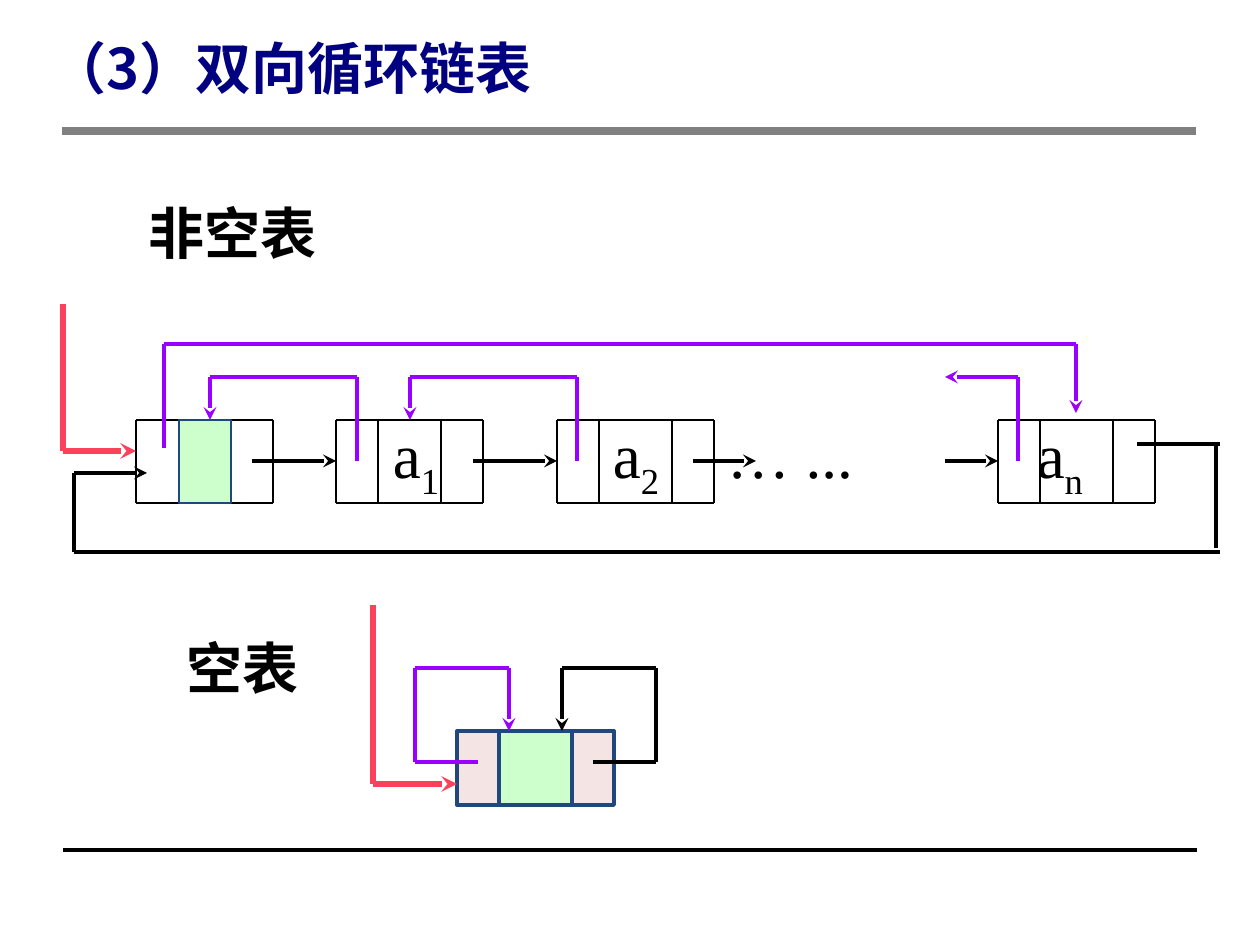
from pptx import Presentation
from pptx.dml.color import RGBColor
from pptx.enum.shapes import MSO_CONNECTOR, MSO_SHAPE
from pptx.enum.text import MSO_ANCHOR, MSO_AUTO_SIZE, PP_ALIGN
from pptx.oxml.ns import qn
from pptx.util import Pt
from lxml import etree

STRAIGHT, RECT = MSO_CONNECTOR.STRAIGHT, MSO_SHAPE.RECTANGLE
NO_FIT, GROW = MSO_AUTO_SIZE.NONE, MSO_AUTO_SIZE.SHAPE_TO_FIT_TEXT
LEFT, TOP, MIDDLE = PP_ALIGN.LEFT, MSO_ANCHOR.TOP, MSO_ANCHOR.MIDDLE
PX = 914400 // 126

SANS, SERIF = "Noto Sans CJK SC", "Times New Roman"
BLACK, GRAY, NAVY = "000000", "808080", "000080"
PURPLE, RED, BLUE = "9900FF", "FB415C", "1F497D"
GREEN, PINK = "CCFFCC", "F4E4E4"

TITLE = "（3）双向循环链表"
HEADINGS = [("非空表", 136, 192, 195), ("空表", 174, 627, 139)]
RULES = [(62, 131, 1196, GRAY, 5), (63, 850, 1197, BLACK, 2)]

NODE_TOP, NODE_BOTTOM = 420, 503
NODES = [
    (136, 179, 231, 273),
    (336, 378, 441, 483),
    (557, 599, 672, 714),
    (998, 1040, 1113, 1155),
]
ROW_BOX = (305, 388, 955, 149)
ROW_TEXT = [(393, "a", "1"), (613, "a", "2"), (727, "… ...", ""), (1037, "a", "n")]

EMPTY_CELLS = [(499, 73, GREEN), (572, 42, PINK), (457, 42, PINK)]
EMPTY_TOP, EMPTY_HEIGHT = 731, 74

NEXT_LINKS = [(252, 336), (473, 557), (693, 756), (945, 998)]
LINKS = [
    (BLACK, 2.5, False, [(1137, 444), (1220, 444)]),
    (BLACK, 2.5, False, [(1216, 442), (1216, 548)]),
    (BLACK, 2.5, True, [(1220, 552), (74, 552), (74, 473), (147, 473)]),
    (PURPLE, 2.5, True, [(164, 448), (164, 344), (1076, 344), (1076, 413)]),
    (PURPLE, 2.5, True, [(357, 461), (357, 377), (210, 377), (210, 420)]),
    (PURPLE, 2.5, True, [(577, 461), (577, 377), (410, 377), (410, 420)]),
    (PURPLE, 2.5, True, [(1018, 461), (1018, 377), (945, 377)]),
    (RED, 3, True, [(63, 304), (63, 451), (136, 451)]),
    (BLACK, 2.5, True, [(593, 762), (656, 762), (656, 668), (562, 668), (562, 731)]),
    (PURPLE, 2.5, True, [(478, 762), (415, 762), (415, 668), (509, 668), (509, 731)]),
    (RED, 3, True, [(373, 605), (373, 784), (457, 784)]),
]


def rgb(color):
    return RGBColor.from_string(color)


def emu(*lengths):
    return [length * PX for length in lengths]


def style(r, size, color, latin, bold=False):
    font = r.font
    font.size, font.name, font.bold = Pt(size), latin, bold
    font.color.rgb = rgb(color)
    ea = etree.SubElement(r._r.get_or_add_rPr(), qn("a:ea"))
    ea.set("typeface", SANS)


def line(start, end, color, width, arrow=False):
    s = slide.shapes.add_connector(STRAIGHT, *emu(*start, *end))
    s.line.color.rgb, s.line.width = rgb(color), Pt(width)
    if arrow:
        etree.SubElement(s.line._get_or_add_ln(), qn("a:tailEnd")).set("type", "stealth")
    etree.SubElement(s._element.spPr, qn("a:effectLst"))


def link(color, width, arrow, points):
    last = len(points) - 2
    for i, (start, end) in enumerate(zip(points, points[1:])):
        line(start, end, color, width, arrow and i == last)


def cell(x, y, w, h, fill, width):
    s = slide.shapes.add_shape(RECT, *emu(x, y, w, h))
    s.shadow.inherit = False
    s.fill.solid()
    s.fill.fore_color.rgb = rgb(fill)
    s.line.color.rgb, s.line.width = rgb(BLUE), Pt(width)


def heading(text, x, y, w):
    s = slide.shapes.add_textbox(*emu(x, y, w, 81))
    tf = s.text_frame
    tf.word_wrap, tf.auto_size = False, GROW
    tf.text = text
    style(tf.paragraphs[0].runs[0], 32, BLACK, SERIF, True)


def row_text():
    s = slide.shapes.add_textbox(*emu(*ROW_BOX))
    tf = s.text_frame
    tf.word_wrap, tf.auto_size = True, NO_FIT
    tf.margin_top = 14 * PX
    p = tf.paragraphs[0]
    tabs = etree.SubElement(p._p.get_or_add_pPr(), qn("a:tabLst"))
    text_left = ROW_BOX[0] * PX + tf.margin_left
    for x, text, index in ROW_TEXT:
        tab = etree.SubElement(tabs, qn("a:tab"))
        tab.set("pos", str(x * PX - text_left))
        tab.set("algn", "l")
        for part, size in (("\t", 44), (text, 36), (index, 36)):
            if part:
                r = p.add_run()
                r.text = part
                style(r, size, BLACK, SERIF)
        if index:
            r.font._element.set("baseline", "-25000")


prs = Presentation()
prs.slide_width, prs.slide_height = emu(1260, 945)
slide = prs.slides.add_slide(prs.slide_layouts[5])

title = slide.shapes.title
title.left, title.top, title.width, title.height = emu(38, 23, 1071, 86)
tf = title.text_frame
tf.text = TITLE
tf.auto_size, tf.vertical_anchor = NO_FIT, MIDDLE
p = tf.paragraphs[0]
p.alignment, p.line_spacing = LEFT, Pt(40)
style(p.runs[0], 32, NAVY, SANS, True)

for x1, y, x2, color, width in RULES:
    line((x1, y), (x2, y), color, width)
for item in HEADINGS:
    heading(*item)
row_text()

for edges in NODES:
    for y in (NODE_TOP, NODE_BOTTOM):
        line((edges[0], y), (edges[-1], y), BLACK, 0.75)
    for x in edges:
        line((x, NODE_TOP), (x, NODE_BOTTOM), BLACK, 0.75)
head_left, head_right = NODES[0][1:3]
cell(head_left, NODE_TOP, head_right - head_left, NODE_BOTTOM - NODE_TOP, GREEN, 0.75)
for x, w, fill in EMPTY_CELLS:
    cell(x, EMPTY_TOP, w, EMPTY_HEIGHT, fill, 2.25)

for x1, x2 in NEXT_LINKS:
    line((x1, 461), (x2, 461), BLACK, 2.5, True)
for item in LINKS:
    link(*item)

prs.save("out.pptx")
